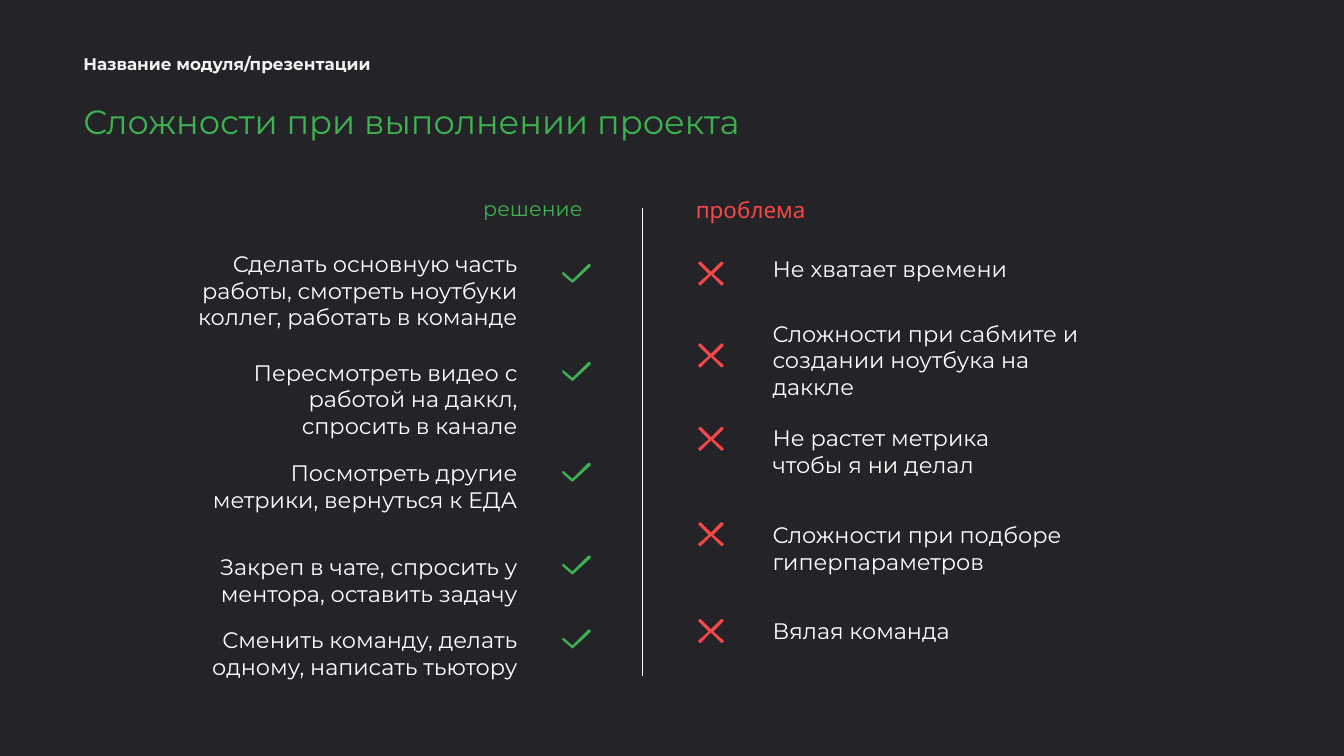
import pptx
import pptx.util
import pptx.dml.color
import pptx.enum.shapes
import pptx.enum.text
import pptx.oxml

RGBColor = pptx.dml.color.RGBColor
DARK = RGBColor(0x24, 0x23, 0x27)
PALE = RGBColor(0xF3, 0xF3, 0xF3)
WHITE = RGBColor(0xFF, 0xFF, 0xFF)
GREEN = RGBColor(0x3C, 0xB2, 0x50)
RED = RGBColor(0xF4, 0x47, 0x47)

ALIGN = pptx.enum.text.PP_ALIGN
ANCHOR = pptx.enum.text.MSO_ANCHOR
FONT = "Montserrat"
PX = 9144  # EMU in one px, 100 px to the inch

# Headings: text, box, size, colour, bold, anchor
HEADS = [
    ("Название модуля/презентации", (62, 28, 269, 39), 9, PALE, True, ANCHOR.MIDDLE),
    ("Сложности при выполнении проекта", (62, 65, 667, 75), 18, GREEN, False, ANCHOR.TOP),
]

# Column labels: text, left, size, colour, font
LABELS = [
    ("решение", 327, 11, GREEN, FONT),
    ("проблема", 489, 12, RED, "Cabin"),
]

# Rows: text, text top, text width, mark top
FIXES = [
    ("Сделать основную часть работы, смотреть ноутбуки коллег, работать в команде",
     181, 297, 197),
    ("Пересмотреть видео с работой на даккл, спросить в канале", 262, 252, 270),
    ("Посмотреть другие метрики, вернуться к ЕДА", 337, 252, 345),
    ("Закреп в чате, спросить у ментора, оставить задачу", 407, 288, 414),
    ("Сменить команду, делать одному, написать тьютору", 461, 252, 469),
]
ISSUES = [
    ("Не хватает времени", 185, 217, 195),
    ("Сложности при сабмите и создании ноутбука на даккле", 233, 252, 256),
    ("Не растет метрика чтобы я ни делал", 311, 235, 318),
    ("Сложности при подборе гиперпараметров", 383, 265, 389),
    ("Вялая команда", 454, 265, 461),
]
FIX_END, FIX_MARK = 395, 419
ISSUE_LEFT, ISSUE_MARK = 565, 520
ROW_H = 34

# Mark outlines
CHECK = [(20, 0), (19, 0), (7, 12), (0, 6), (0, 7), (7, 13), (20, 1)]
CROSS = [(10, 9), (18, 1), (17, 0), (9, 8), (1, 0), (0, 1), (8, 9),
         (0, 16), (1, 17), (9, 9), (17, 17), (18, 16)]

deck = pptx.Presentation()
deck.slide_width = 1000 * PX
deck.slide_height = deck.slide_width * 9 // 16
slide = deck.slides.add_slide(deck.slide_layouts[6])
slide.background.fill.solid()
slide.background.fill.fore_color.rgb = DARK
shapes = slide.shapes


def add_text(text, box, size, color, align=ALIGN.LEFT, font=FONT,
             bold=False, pads=(10, 5, 10, 5), anchor=ANCHOR.TOP):
    frame = shapes.add_textbox(*(n * PX for n in box)).text_frame
    frame.word_wrap = True
    frame.vertical_anchor = anchor
    (frame.margin_left, frame.margin_top,
     frame.margin_right, frame.margin_bottom) = (n * PX for n in pads)
    para = frame.paragraphs[0]
    para.text = text
    para.alignment = align
    para.font.size = pptx.util.Pt(size)
    para.font.name = font
    para.font.bold = bold
    para.font.color.rgb = color


def add_mark(points, left, top, color):
    pen = shapes.build_freeform(*points[0], scale=PX)
    pen.add_line_segments(points[1:], close=True)
    mark = pen.convert_to_shape(left * PX, top * PX)
    mark.shadow.inherit = False
    mark.fill.solid()
    mark.fill.fore_color.rgb = color
    mark.line.color.rgb = color
    mark.line.width = pptx.util.Pt(0.75)


# Headings and column labels
for text, box, size, color, bold, anchor in HEADS:
    add_text(text, box, size, color, bold=bold, pads=(0, 10, 10, 10), anchor=anchor)
for text, left, size, color, font in LABELS:
    add_text(text, (left, 141, 139, 26), size, color, ALIGN.CENTER, font)

# Solutions, flush right
for text, top, width, mark_top in FIXES:
    add_mark(CHECK, FIX_MARK, mark_top, GREEN)
    add_text(text, (FIX_END - width, top, width, ROW_H), 12, WHITE, ALIGN.RIGHT)

# Divider
rule = shapes.add_connector(pptx.enum.shapes.MSO_CONNECTOR.STRAIGHT,
                            478 * PX, 155 * PX, 478 * PX, 503 * PX)
rule.line.color.rgb = WHITE
rule.line.width = pptx.util.Pt(0.75)
rule._element.spPr.append(pptx.oxml.parse_xml(
    '<a:effectLst xmlns:a="http://schemas.openxmlformats.org/drawingml/2006/main"/>'))

# Problems, flush left
for text, top, width, mark_top in ISSUES:
    add_mark(CROSS, ISSUE_MARK, mark_top, RED)
    add_text(text, (ISSUE_LEFT, top, width, ROW_H), 12, WHITE)

deck.save("out.pptx")
